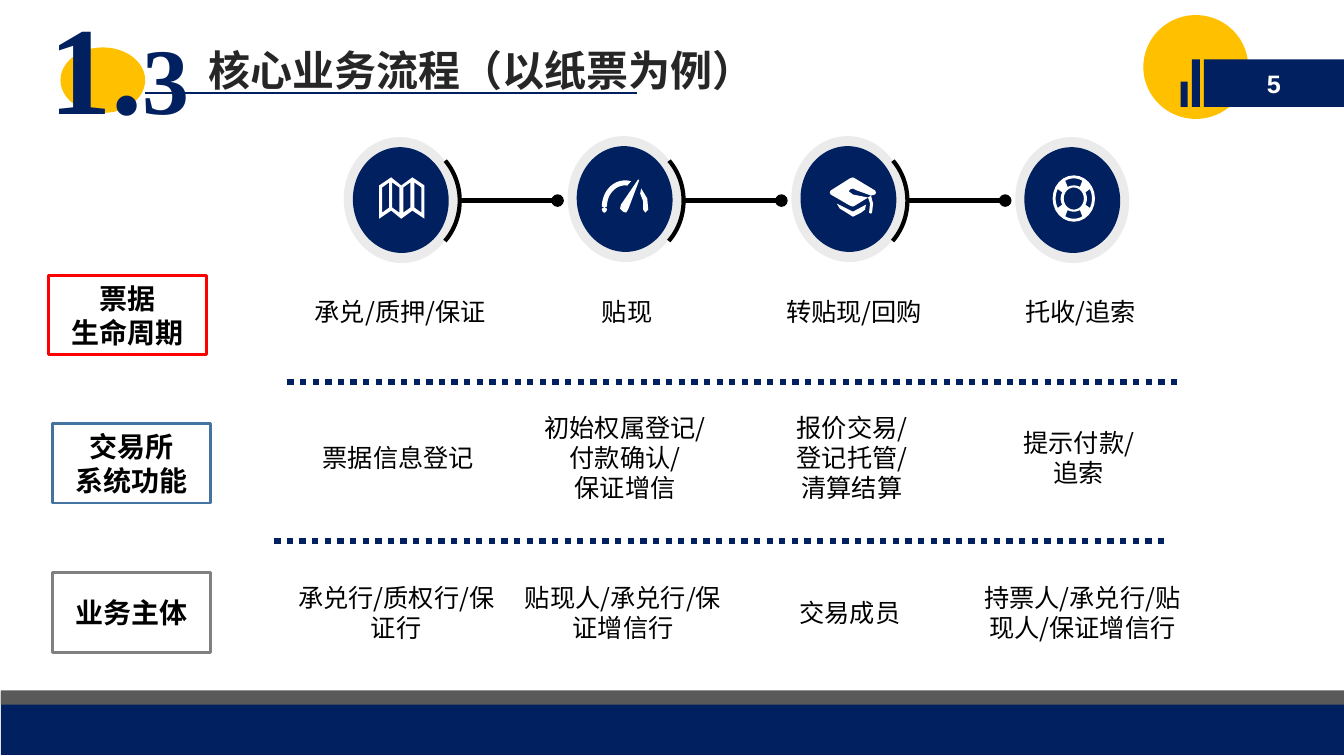
"""Build the slide on the core business process of paper bills."""
from math import cos, radians, sin
from typing import NamedTuple

from pptx import Presentation
from pptx import util as u
from pptx.dml import color
from pptx.enum import dml, shapes, text
from pptx.oxml import ns, xmlchemy

NAVY, GOLD, WHITE, BLACK = "002060", "FFC000", "FFFFFF", "000000"
CJK = "Noto Sans CJK SC"
Points = list[tuple[float, float]]


class Box(NamedTuple):
    left: float
    top: float
    width: float
    height: float

    def lengths(self) -> list:
        return [u.Inches(value) for value in self]


class Row(NamedTuple):
    label: str
    label_box: Box
    border: str
    left: float
    top: float
    cells: list[str]


def rgb(value: str) -> color.RGBColor:
    return color.RGBColor.from_string(value)


def add_child(parent, tag: str, **attributes: str):
    child = xmlchemy.OxmlElement(tag)
    for name, value in attributes.items():
        child.set(name, value)
    parent.append(child)
    return child


def add_run(paragraph, content: str, size: float, font: str, ink: str, bold: bool):
    run = paragraph.add_run()
    run.text = content
    run.font.size, run.font.bold, run.font.name = u.Pt(size), bold, font
    run.font.color.rgb = rgb(ink)
    add_child(run.font._element, "a:ea", typeface=font)


def write_text(shape, content: str, size: float = 18, font: str = CJK, ink: str = BLACK,
               bold: bool = False, align=text.PP_ALIGN.CENTER,
               anchor=text.MSO_ANCHOR.MIDDLE, insets=(0.1, 0.05, 0.1, 0.05)):
    frame = shape.text_frame
    frame.word_wrap, frame.auto_size = True, text.MSO_AUTO_SIZE.NONE
    frame.vertical_anchor = anchor
    (frame.margin_left, frame.margin_top,
     frame.margin_right, frame.margin_bottom) = map(u.Inches, insets)
    for index, line in enumerate(content.split("\n")):
        paragraph = frame.add_paragraph() if index else frame.paragraphs[0]
        paragraph.alignment = align
        add_run(paragraph, line, size, font, ink, bold)
    return paragraph


def add_shape(slide, kind, box: Box, fill: str = "", line: str = "", width: float = 2,
              rotation: float = 0, opacity: int = 100):
    shape = slide.shapes.add_shape(kind, *box.lengths())
    shape.shadow.inherit = False
    shape.rotation = rotation
    if fill:
        shape.fill.solid()
        shape.fill.fore_color.rgb = rgb(fill)
    else:
        shape.fill.background()
    if opacity < 100:
        ink = shape._element.spPr.find(ns.qn("a:solidFill"))[0]
        add_child(ink, "a:alpha", val=str(opacity * 1000))
    if line:
        shape.line.color.rgb, shape.line.width = rgb(line), u.Pt(width)
    else:
        shape.line.fill.background()
    return shape


def add_line(slide, left: float, right: float, top: float, ink: str, width: float):
    connector = slide.shapes.add_connector(
        shapes.MSO_CONNECTOR.STRAIGHT, *map(u.Inches, (left, top, right, top)))
    connector.line.color.rgb, connector.line.width = rgb(ink), u.Pt(width)
    add_child(connector._element.spPr, "a:effectLst")
    return connector


def add_icon(slide, outlines: list[Points]):
    scaled = [[(u.Inches(x), u.Inches(y)) for x, y in outline] for outline in outlines]
    builder = slide.shapes.build_freeform(*scaled[0][0], scale=1.0)
    for index, outline in enumerate(scaled):
        if index:
            builder.move_to(*outline[0])
        builder.add_line_segments(outline[1:], close=True)
    icon = builder.convert_to_shape()
    icon.shadow.inherit = False
    icon.fill.solid()
    icon.fill.fore_color.rgb = rgb(WHITE)
    icon.line.fill.background()


def arc(x: float, y: float, x_radius: float, y_radius: float,
        start: float, end: float, steps: int = 24) -> Points:
    angles = [radians(start + (end - start) * step / steps) for step in range(steps + 1)]
    return [(x + x_radius * cos(angle), y - y_radius * sin(angle)) for angle in angles]


def map_icon() -> list[Points]:
    folds = [3.76, 3.88, 3.98, 4.09, 4.21]
    top = [(x, 1.76 if index % 2 else 1.84) for index, x in enumerate(folds)]
    bottom = [(x, 2.09 if index % 2 else 2.17) for index, x in enumerate(folds)]
    panels = []
    for index, left in enumerate([3.79, 3.89, 4.0, 4.11]):
        rise = 0.05 if index % 2 else 0
        drop = 0.05 - rise
        right = left + 0.07
        panels.append([(left, 1.81 + drop), (right, 1.81 + rise),
                       (right, 2.06 + rise), (left, 2.06 + drop)])
    return [top + bottom[::-1], *panels]


def gauge_icon() -> list[Points]:
    dial = arc(6.2, 2.05, 0.23, 0.26, 180, 75) + arc(6.2, 2.05, 0.18, 0.21, 83, 180)
    foot = arc(5.995, 2.07, 0.025, 0.04, 360, 180)
    needle = [(6.16, 2.03), (6.15, 2.07), (6.18, 2.1), (6.21, 2.11), (6.23, 2.08),
              (6.34, 1.79), (6.33, 1.78)]
    edge = [(6.36, 1.87), (6.35, 1.92), (6.38, 2.0), (6.38, 2.08), (6.4, 2.11),
            (6.43, 2.08), (6.42, 1.97)]
    return [dial + foot[::-1], needle, edge]


def cap_icon() -> list[Points]:
    bowl = [(8.3, 2.02), (8.33, 2.07), (8.38, 2.1), (8.46, 2.15), (8.54, 2.11),
            (8.58, 2.08), (8.59, 2.03), (8.46, 2.1)]
    board = [(8.68, 1.89), (8.48, 1.77), (8.46, 1.76), (8.43, 1.77), (8.24, 1.89),
             (8.23, 1.91), (8.24, 1.93), (8.43, 2.04), (8.46, 2.05), (8.48, 2.04),
             (8.61, 1.96), (8.46, 1.93), (8.42, 1.9), (8.43, 1.88), (8.46, 1.87),
             (8.5, 1.89), (8.64, 1.94), (8.68, 1.93), (8.69, 1.91)]
    tassel = [(8.62, 2.11), (8.64, 2.12), (8.65, 2.11), (8.66, 2.02), (8.64, 1.94),
              (8.61, 1.96), (8.63, 2.02)]
    return [bowl, board, tassel]


def buoy_icon() -> list[Points]:
    slots = [arc(10.65, 1.97, 0.18, 0.2, middle - 28, middle + 28)
             + arc(10.65, 1.97, 0.13, 0.13, middle + 28, middle - 28)
             for middle in range(0, 360, 90)]
    return [arc(10.65, 1.97, 0.21, 0.23, 0, 360), arc(10.65, 1.97, 0.1, 0.11, 0, 360), *slots]


ROWS = [
    Row("票据\n生命周期", Box(0.48, 2.73, 1.57, 0.79), "FF0000", 2.89, 2.69,
        ["承兑/质押/保证", "贴现", "转贴现/回购", "托收/追索"]),
    Row("交易所\n系统功能", Box(0.52, 4.2, 1.57, 0.79), "43739E", 2.87, 4.14,
        ["票据信息登记", "初始权属登记/\n付款确认/\n保证增信",
         "报价交易/\n登记托管/\n清算结算", "提示付款/\n追索"]),
    Row("业务主体", Box(0.52, 5.68, 1.57, 0.79), "808080", 2.85, 5.68,
        ["承兑行/质权行/保证行", "贴现人/承兑行/保证增信行", "交易成员",
         "持票人/承兑行/贴现人/保证增信行"]),
]
WIDE_INSETS = (0.12, 0.06, 0.12, 0.06)
KIND = shapes.MSO_SHAPE

presentation = Presentation()
presentation.slide_width, presentation.slide_height = u.Inches(13.33), u.Inches(7.5)
slide = presentation.slides.add_slide(presentation.slide_layouts[5])

add_shape(slide, KIND.OVAL, Box(11.34, 0.15, 1.04, 1.03), GOLD)
add_shape(slide, KIND.RECTANGLE, Box(0.01, 6.86, 13.32, 0.63), NAVY)
add_shape(slide, KIND.RECTANGLE, Box(0.01, 6.85, 13.32, 0.14), "595959")
page_bar = add_shape(slide, KIND.RECTANGLE, Box(11.94, 0.59, 1.39, 0.47), NAVY)
write_text(page_bar, "5", font="Arial", ink=WHITE, bold=True, insets=WIDE_INSETS)
add_shape(slide, KIND.RECTANGLE, Box(11.82, 0.59, 0.08, 0.47), NAVY)
add_shape(slide, KIND.RECTANGLE, Box(11.71, 0.81, 0.07, 0.25), NAVY)

add_shape(slide, KIND.OVAL, Box(0.6, 0.47, 0.84, 0.65), GOLD)
title = slide.shapes.title
title.left, title.top, title.width, title.height = Box(1.78, 0.39, 6.68, 0.61).lengths()
write_text(title, "核心业务流程（以纸票为例）", size=30, ink="262626", bold=True,
           align=text.PP_ALIGN.LEFT, anchor=text.MSO_ANCHOR.TOP, insets=(0.29, 0.05, 0.1, 0.05))
title._element.getparent().append(title._element)
add_line(slide, 1.44, 6.32, 0.92, NAVY, 1.5)
number = slide.shapes.add_textbox(*Box(0.37, -0.16, 2.52, 1.62).lengths())
number_line = write_text(number, "1.", size=89, font="Times New Roman", ink=NAVY, bold=True,
                         align=text.PP_ALIGN.LEFT, anchor=text.MSO_ANCHOR.TOP, insets=WIDE_INSETS)
add_run(number_line, "3", 67, "Times New Roman", NAVY, True)

stages = [(1.36, map_icon()), (1.35, gauge_icon()), (1.35, cap_icon()), (1.36, buoy_icon())]
for index, (top, icon) in enumerate(stages):
    shift = 2.22 * index
    add_shape(slide, KIND.OVAL, Box(3.41 + shift, top, 1.13, 1.25), "BFBFBF",
              rotation=355.3, opacity=30)
    add_shape(slide, KIND.OVAL, Box(3.5 + shift, top + 0.1, 0.95, 1.05), NAVY, rotation=355.3)
    add_icon(slide, icon)
    if index < len(stages) - 1:
        link = add_line(slide, 4.57 + shift, 5.53 + shift, 1.99, BLACK, 3)
        add_child(link.line._get_or_add_ln(), "a:tailEnd", type="oval")
        bow = add_shape(slide, KIND.ARC, Box(3.45 + shift, 1.46, 1.16, 1.06),
                        line=BLACK, width=3, rotation=270)
        bow.adjustments[0], bow.adjustments[1] = 26.57, 81.76

for row in ROWS:
    label = add_shape(slide, KIND.RECTANGLE, row.label_box, line=row.border)
    write_text(label, row.label, size=20, bold=True, insets=WIDE_INSETS)
    for column, content in enumerate(row.cells):
        width = 2.27 if len(content) > 15 and "\n" not in content else 2.16
        cell = slide.shapes.add_textbox(
            *Box(row.left + 2.25 * column, row.top, width, 0.79).lengths())
        write_text(cell, content)

for left, top in [(2.85, 3.79), (2.72, 5.37)]:
    divider = add_line(slide, left, left + 8.86, top, NAVY, 4.5)
    divider.line.dash_style = dml.MSO_LINE.ROUND_DOT

presentation.save("out.pptx")
